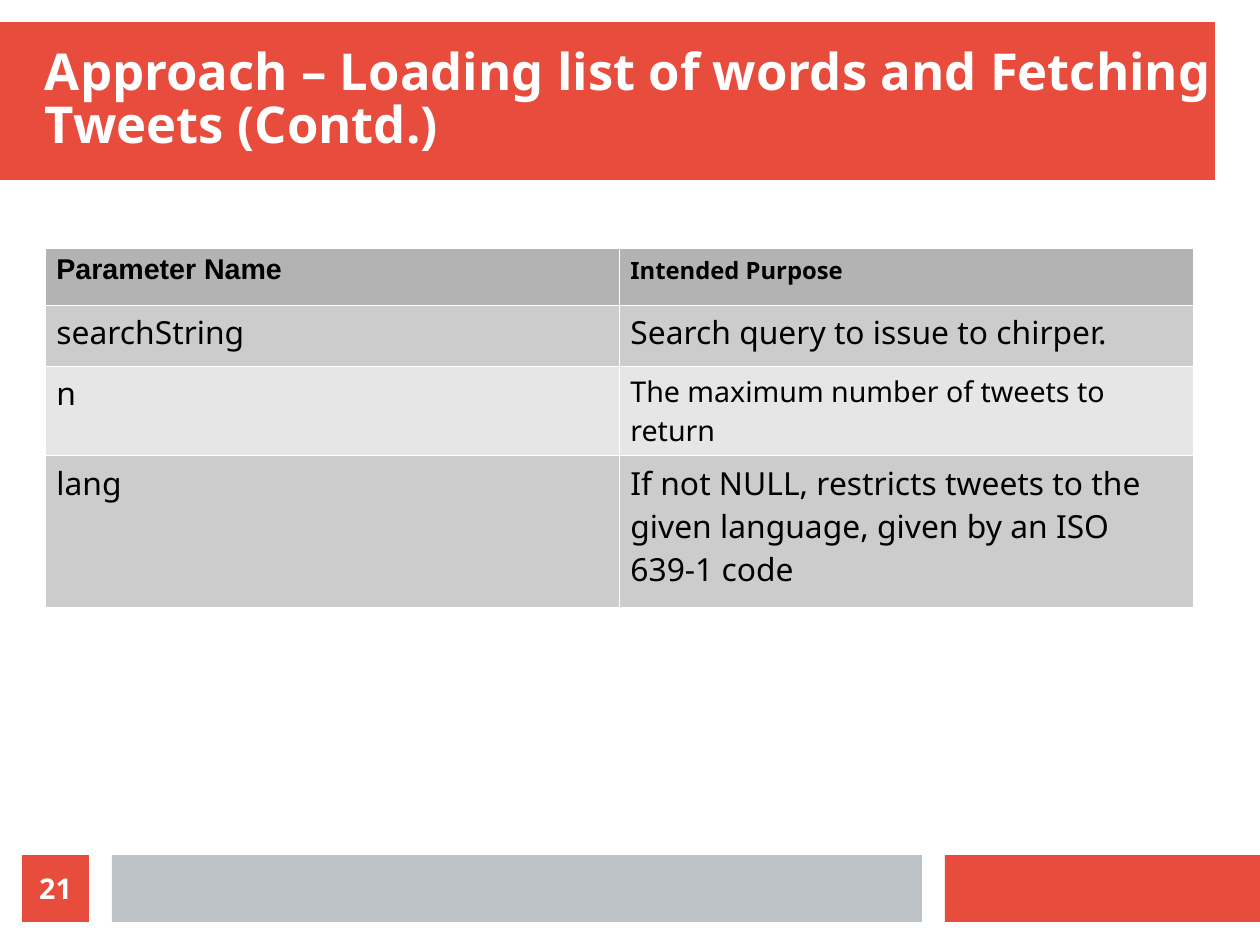
from dataclasses import dataclass

from lxml import etree
from pptx import Presentation
from pptx.dml.color import RGBColor
from pptx.enum.shapes import MSO_SHAPE
from pptx.enum.text import MSO_ANCHOR, MSO_AUTO_SIZE, PP_ALIGN
from pptx.oxml.ns import qn
from pptx.util import Emu, Pt

RECTANGLE = MSO_SHAPE.RECTANGLE
MIDDLE, TOP = MSO_ANCHOR.MIDDLE, MSO_ANCHOR.TOP
LEFT, CENTER = PP_ALIGN.LEFT, PP_ALIGN.CENTER
NO_FIT = MSO_AUTO_SIZE.NONE

EMU_PER_PX = 8000
TITLE_ONLY = 5
SANS = "Noto Sans"
COLORS = {
    "red": "E74C3C",
    "silver": "BDC3C7",
    "white": "FFFFFF",
    "black": "000000",
    "header": "B3B3B3",
    "odd": "CCCCCC",
    "even": "E6E6E6",
}


@dataclass
class Bar:
    left: int
    top: int
    width: int
    height: int
    color: str


@dataclass
class CellText:
    text: str
    size: int = 20
    font: str = SANS
    bold: bool = False


@dataclass
class TableRow:
    height: int
    color: str
    cells: tuple[CellText, CellText]


TITLE_BAND = Bar(0, 22, 1215, 158, "red")
FOOTER_BARS = [
    Bar(945, 855, 315, 67, "red"),
    Bar(112, 855, 810, 67, "silver"),
]
NUMBER_BOX = Bar(22, 855, 67, 67, "red")

COLUMN_WIDTH = 574
ROWS = [
    TableRow(57, "header", (
        CellText("Parameter Name", 18, "Arial", True),
        CellText("Intended Purpose", 15, bold=True))),
    TableRow(61, "odd", (
        CellText("searchString"),
        CellText("Search query to issue to chirper."))),
    TableRow(61, "even", (
        CellText("n"),
        CellText("The maximum number of tweets to return", 18))),
    TableRow(152, "odd", (
        CellText("lang"),
        CellText("If not NULL, restricts tweets to the given language, "
                 "given by an ISO 639-1 code"))),
]


def px(length: int) -> Emu:
    return Emu(length * EMU_PER_PX)


def rgb(name: str) -> RGBColor:
    return RGBColor.from_string(COLORS[name])


def write_text(frame, text: str, *, size: int, font: str = SANS,
               color: str = "black", bold: bool = False, align=LEFT,
               anchor=None, spacing: float = 1.0) -> None:
    """Fill a text frame with one formatted paragraph."""
    if anchor is not None:
        frame.auto_size = NO_FIT
        frame.word_wrap = True
        frame.vertical_anchor = anchor
        frame.margin_left = frame.margin_right = 0
        frame.margin_top = frame.margin_bottom = 0
    para = frame.paragraphs[0]
    para.alignment = align
    para.line_spacing = spacing
    span = para.add_run()
    span.text = text
    span.font.size = Pt(size)
    span.font.name = font
    span.font.bold = bold
    span.font.color.rgb = rgb(color)


def add_bar(page, bar: Bar):
    shape = page.shapes.add_shape(RECTANGLE, px(bar.left), px(bar.top),
                                  px(bar.width), px(bar.height))
    shape.shadow.inherit = False
    shape.fill.solid()
    shape.fill.fore_color.rgb = rgb(bar.color)
    shape.line.fill.background()
    return shape


def add_title(page, text: str) -> None:
    title = page.shapes.title
    title.left, title.top = px(45), px(45)
    title.width, title.height = px(1170), px(112)
    write_text(title.text_frame, text, size=32, color="white", bold=True,
               anchor=MIDDLE, spacing=0.88)
    # Bring the title in front of its band
    page.shapes._spTree.append(title._element)


def set_borders(cell, color: str, width: float) -> None:
    properties = cell._tc.get_or_add_tcPr()
    for index, side in enumerate(("a:lnL", "a:lnR", "a:lnT", "a:lnB")):
        line = etree.Element(qn(side), w=str(Pt(width)))
        fill = etree.SubElement(line, qn("a:solidFill"))
        etree.SubElement(fill, qn("a:srgbClr"), val=COLORS[color])
        properties.insert(index, line)


def add_parameter_table(page, rows: list[TableRow]) -> None:
    total = sum(row.height for row in rows)
    table = page.shapes.add_table(len(rows), 2, px(45), px(248),
                                  px(2 * COLUMN_WIDTH), px(total)).table
    table.horz_banding = False
    for column in table.columns:
        column.width = px(COLUMN_WIDTH)
    for table_row, row in zip(table.rows, rows):
        table_row.height = px(row.height)
        for cell, content in zip(table_row.cells, row.cells):
            cell.fill.solid()
            cell.fill.fore_color.rgb = rgb(row.color)
            cell.vertical_anchor = TOP
            set_borders(cell, "white", 0.06)
            write_text(cell.text_frame, content.text, size=content.size,
                       font=content.font, bold=content.bold)


def main() -> None:
    deck = Presentation()
    deck.slide_width, deck.slide_height = px(1260), px(945)
    page = deck.slides.add_slide(deck.slide_layouts[TITLE_ONLY])

    # Coloured bars and title
    for bar in [TITLE_BAND, *FOOTER_BARS]:
        add_bar(page, bar)
    add_title(page, "Approach – Loading list of words and Fetching "
                    "Tweets (Contd.)")

    # Parameters
    add_parameter_table(page, ROWS)

    # Page number
    write_text(add_bar(page, NUMBER_BOX).text_frame, "21", size=18,
               color="white", bold=True, align=CENTER, anchor=MIDDLE)

    deck.save("out.pptx")


if __name__ == "__main__":
    main()
